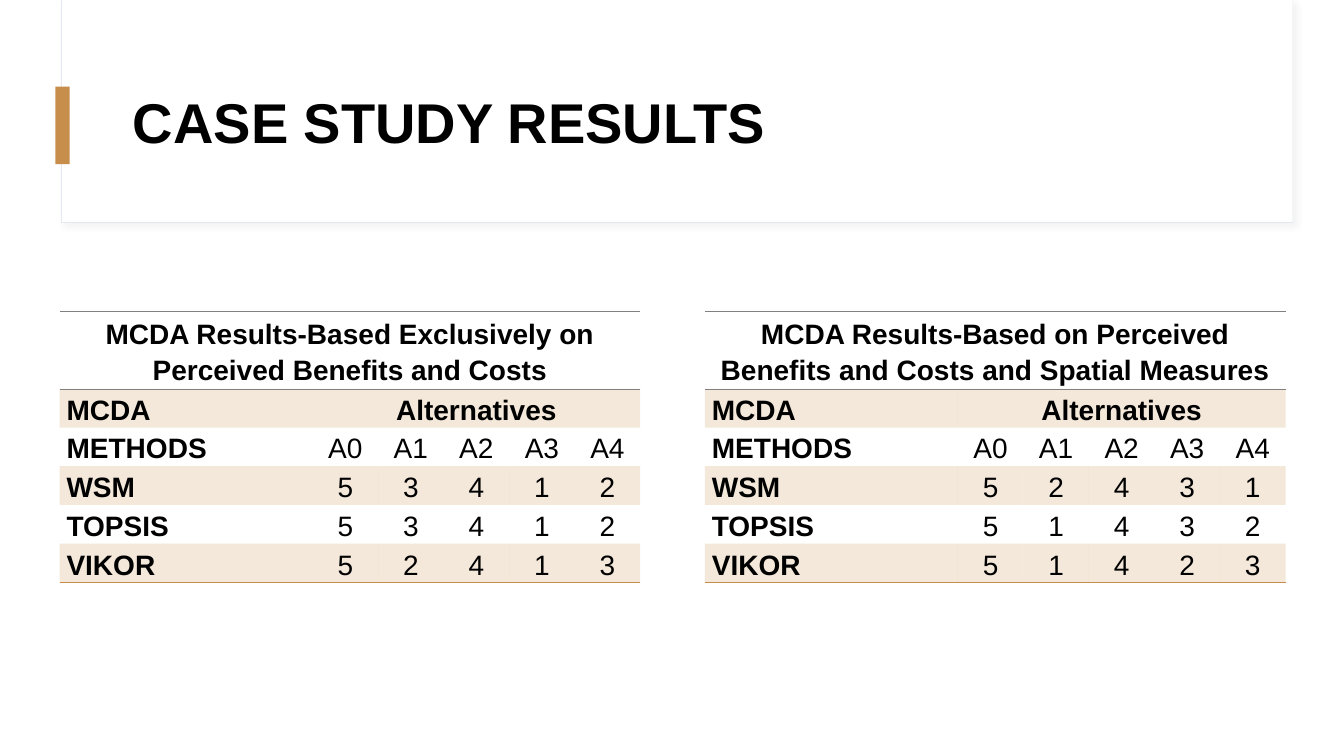
from lxml import etree
from pptx import Presentation
from pptx.dml.color import RGBColor
from pptx.enum.shapes import MSO_SHAPE
from pptx.enum.text import MSO_ANCHOR, PP_ALIGN
from pptx.oxml.ns import qn
from pptx.util import Inches, Pt

RECTANGLE = MSO_SHAPE.RECTANGLE
MIDDLE = MSO_ANCHOR.MIDDLE
LEFT, CENTER = PP_ALIGN.LEFT, PP_ALIGN.CENTER

TITLE = "CASE STUDY RESULTS"
ALTERNATIVES = ["A0", "A1", "A2", "A3", "A4"]
TABLES = [
    {
        "heading": "MCDA Results-Based Exclusively on Perceived Benefits and Costs",
        "left": 0.59,
        "ranks": {
            "WSM": [5, 3, 4, 1, 2],
            "TOPSIS": [5, 3, 4, 1, 2],
            "VIKOR": [5, 2, 4, 1, 3],
        },
    },
    {
        "heading": "MCDA Results-Based on Perceived Benefits and Costs and Spatial Measures",
        "left": 6.99,
        "ranks": {
            "WSM": [5, 2, 4, 3, 1],
            "TOPSIS": [5, 1, 4, 3, 2],
            "VIKOR": [5, 1, 4, 2, 3],
        },
    },
]

COLORS = {
    "text": "000000",
    "card": "FFFFFF",
    "card_line": "E4E8F0",
    "shadow": "D9D9D9",
    "accent": "C68E4A",
    "heading_rule": "808080",
}
FONT = "Arial"
TABLE_TOP = 3.09
ROW_HEIGHT = 0.36
METHOD_WIDTH, RANK_WIDTH = 2.51, 0.65
BAND_OPACITY = 20
NO_STYLE = "{2D5ABB26-0587-4C30-8999-92F81FD0307C}"


def color(name):
    return RGBColor.from_string(COLORS[name])


def add_rectangle(slide, left, top, width, height, fill, line=None):
    shape = slide.shapes.add_shape(
        RECTANGLE, Inches(left), Inches(top), Inches(width), Inches(height))
    shape.shadow.inherit = False
    shape.fill.solid()
    shape.fill.fore_color.rgb = color(fill)
    if line:
        shape.line.color.rgb = color(line)
        shape.line.width = Pt(0.75)
    else:
        shape.line.fill.background()
    return shape


def add_opacity(color_element, percent):
    etree.SubElement(color_element, qn("a:alpha"), val=str(percent * 1000))


def add_soft_shadow(shape):
    effects = shape._element.spPr.find(qn("a:effectLst"))
    shadow = etree.SubElement(
        effects, qn("a:outerShdw"), blurRad=str(Pt(4)), dist=str(Pt(3)),
        dir=str(45 * 60000), algn="tl", rotWithShape="0")
    shade = etree.SubElement(shadow, qn("a:srgbClr"), val=COLORS["shadow"])
    add_opacity(shade, 30)


def add_title(slide):
    box = slide.shapes.add_textbox(Inches(1.22), Inches(0.6), Inches(11.12), Inches(1.29))
    frame = box.text_frame
    frame.word_wrap = True
    frame.vertical_anchor = MIDDLE
    write(frame.paragraphs[0], TITLE, 40, True, LEFT, 0.9)


def write(paragraph, text, size, bold, alignment, spacing):
    paragraph.text = text
    paragraph.alignment = alignment
    paragraph.line_spacing = spacing
    paragraph.font.name = FONT
    paragraph.font.size = Pt(size)
    paragraph.font.bold = bold
    paragraph.font.color.rgb = color("text")


def add_borders(cell, borders):
    """Draw borders given as (tag, colour name, points), in schema order."""
    properties = cell._tc.get_or_add_tcPr()
    for index, (tag, name, points) in enumerate(borders):
        line = etree.Element(qn(tag), w=str(Pt(points)))
        fill = etree.SubElement(line, qn("a:solidFill"))
        etree.SubElement(fill, qn("a:srgbClr"), val=COLORS[name])
        properties.insert(index, line)


def fill_cell(cell, text, bold, alignment, banded):
    cell.margin_left = cell.margin_right = Inches(0.07)
    cell.margin_top = cell.margin_bottom = 0
    cell.vertical_anchor = MIDDLE
    write(cell.text_frame.paragraphs[0], text, 20, bold, alignment, 1.15)
    if banded:
        cell.fill.solid()
        cell.fill.fore_color.rgb = color("accent")
        add_opacity(cell._tc.tcPr.find(qn("a:solidFill"))[0], BAND_OPACITY)
    else:
        cell.fill.background()


def add_results_table(slide, heading, left, ranks):
    blanks = [""] * len(ALTERNATIVES)
    rows = [
        [heading] + blanks,
        ["MCDA", "Alternatives"] + blanks[1:],
        ["METHODS"] + ALTERNATIVES,
    ] + [[method] + [str(rank) for rank in row] for method, row in ranks.items()]
    widths = [METHOD_WIDTH] + [RANK_WIDTH] * len(ALTERNATIVES)
    heights = [2 * ROW_HEIGHT] + [ROW_HEIGHT] * (len(rows) - 1)

    frame = slide.shapes.add_table(
        len(rows), len(widths), Inches(left), Inches(TABLE_TOP),
        Inches(sum(widths)), Inches(sum(heights)))
    table = frame.table
    table._tbl.tblPr.find(qn("a:tableStyleId")).text = NO_STYLE
    table.first_row = table.horz_banding = False
    for column, width in zip(table.columns, widths):
        column.width = Inches(width)
    for row, height in zip(table.rows, heights):
        row.height = Inches(height)

    last_row, last_column = len(rows) - 1, len(widths) - 1
    borders = {
        0: [("a:lnT", "heading_rule", 0.5), ("a:lnB", "heading_rule", 0.5)],
        last_row: [("a:lnB", "accent", 1)],
    }
    for row_index, texts in enumerate(rows):
        for column_index, text in enumerate(texts):
            cell = table.cell(row_index, column_index)
            bold = row_index < 2 or column_index == 0
            alignment = LEFT if column_index == 0 and row_index > 0 else CENTER
            fill_cell(cell, text, bold, alignment, row_index % 2 == 1)
            add_borders(cell, borders.get(row_index, []))
    table.cell(0, 0).merge(table.cell(0, last_column))
    table.cell(1, 1).merge(table.cell(1, last_column))


def main():
    presentation = Presentation()
    presentation.slide_width = Inches(13.33)
    presentation.slide_height = Inches(7.5)
    slide = presentation.slides.add_slide(presentation.slide_layouts[6])

    card = add_rectangle(slide, 0.61, 0, 12.21, 2.21, "card", "card_line")
    add_soft_shadow(card)
    add_rectangle(slide, 0.62, 0, 12.2, 2.2, "card")
    add_rectangle(slide, 0.55, 0.86, 0.14, 0.77, "accent")
    add_title(slide)
    for results in TABLES:
        add_results_table(slide, **results)
    presentation.save("out.pptx")


if __name__ == "__main__":
    main()
